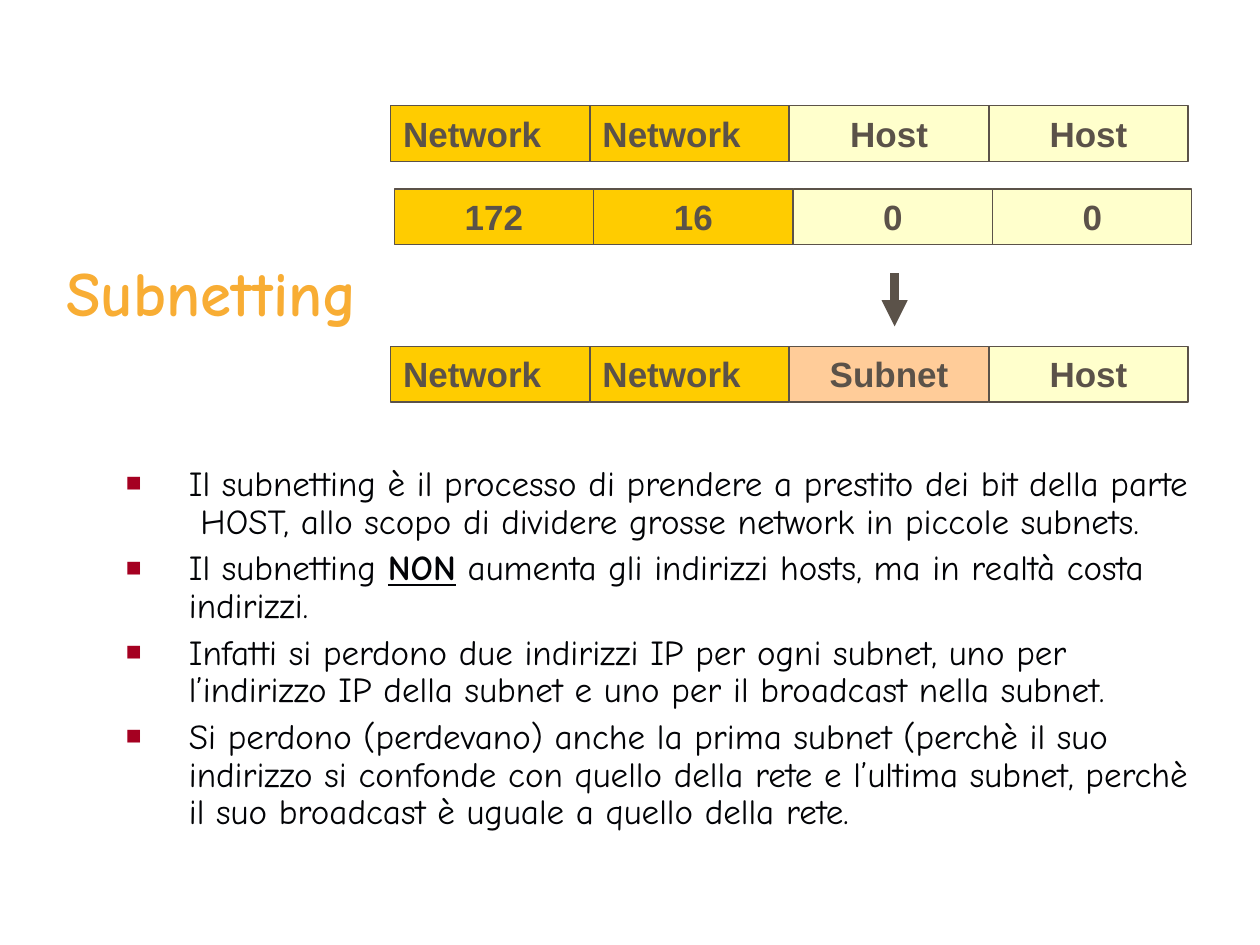
from lxml.etree import SubElement
from pptx import Presentation
from pptx.dml.color import RGBColor
from pptx.enum.shapes import MSO_CONNECTOR as Connector, MSO_SHAPE as Shape
from pptx.enum.text import MSO_ANCHOR as Anchor, PP_ALIGN as Align
from pptx.oxml.ns import qn
from pptx.util import Inches, Pt

# Content
TITLE = "Subnetting"
# Each address row: left, top, cells as (text, fill)
ADDRESS_ROWS = [
    (3.10, 0.84, [("Network", "network"), ("Network", "network"), ("Host", "host"), ("Host", "host")]),
    (3.13, 1.50, [("172", "network"), ("16", "network"), ("0", "host"), ("0", "host")]),
    (3.10, 2.75, [("Network", "network"), ("Network", "network"), ("Subnet", "subnet"), ("Host", "host")]),
]
# Each bullet: runs as (text, emphasised)
BULLETS = [
    [("Il subnetting è il processo di prendere a prestito dei bit della parte  HOST, "
      "allo scopo di dividere grosse network in piccole subnets.", False)],
    [("Il subnetting ", False), ("NON", True),
     (" aumenta gli indirizzi hosts, ma in realtà costa indirizzi.", False)],
    [("Infatti si perdono due indirizzi IP per ogni subnet, uno per l’indirizzo IP "
      "della subnet e uno per il broadcast nella subnet.", False)],
    [("Si perdono (perdevano) anche la prima subnet (perchè il suo indirizzo si confonde "
      "con quello della rete e l’ultima subnet, perchè il suo broadcast è uguale a quello "
      "della rete.", False)],
]
COLORS = {
    "title": "F8AD34", "body": "020306", "bullet": "A50021", "ink": "5B5249",
    "network": "FFCC00", "host": "FFFFCC", "subnet": "FFCC99",
}
CELL_PITCH, CELL_WIDTH, CELL_HEIGHT = 1.583, 1.58, 0.44


def color(name):
    return RGBColor.from_string(COLORS[name])


def add_text(paragraph, text, *, size=20, font="Comic Neue", ink="body", bold=False, underline=False):
    run = paragraph.add_run()
    run.text = text
    run.font.size = Pt(size)
    run.font.name = font
    run.font.color.rgb = color(ink)
    run.font.bold = bold
    run.font.underline = underline


def add_text_frame(slide, left, top, width, height):
    frame = slide.shapes.add_textbox(*map(Inches, (left, top, width, height))).text_frame
    frame.word_wrap = True
    return frame


def add_cell(slide, left, top, text, fill):
    cell = slide.shapes.add_shape(
        Shape.RECTANGLE, *map(Inches, (left, top, CELL_WIDTH, CELL_HEIGHT)))
    cell.shadow.inherit = False
    cell.fill.solid()
    cell.fill.fore_color.rgb = color(fill)
    cell.line.color.rgb = color("ink")
    cell.line.width = Pt(0.75)
    frame = cell.text_frame
    frame.vertical_anchor = Anchor.TOP
    paragraph = frame.paragraphs[0]
    paragraph.alignment = Align.LEFT if text == "Network" else Align.CENTER
    add_text(paragraph, text, font="Arial", ink="ink", bold=True)


def set_bullet(paragraph):
    properties = paragraph._p.get_or_add_pPr()
    properties.set("marL", str(Inches(0.5)))
    properties.set("indent", str(-Inches(0.5)))
    bullet_color = SubElement(properties, qn("a:buClr"))
    SubElement(bullet_color, qn("a:srgbClr"), val=COLORS["bullet"])
    SubElement(properties, qn("a:buSzPct"), val="75000")
    SubElement(properties, qn("a:buFont"), typeface="Arial")
    SubElement(properties, qn("a:buChar"), char="■")


def add_arrow(slide, x, top, bottom):
    arrow = slide.shapes.add_connector(
        Connector.STRAIGHT, *map(Inches, (x, top, x, bottom)))
    arrow.line.color.rgb = color("ink")
    arrow.line.width = Pt(5)
    SubElement(arrow.line._get_or_add_ln(), qn("a:tailEnd"), type="triangle")
    SubElement(arrow._element.spPr, qn("a:effectLst"))


def main():
    presentation = Presentation()
    presentation.slide_width, presentation.slide_height = Inches(10), Inches(7.5)
    slide = presentation.slides.add_slide(presentation.slide_layouts[6])

    # Title
    title = add_text_frame(slide, 0.43, 2.02, 2.85, 0.58)
    title.vertical_anchor = Anchor.MIDDLE
    add_text(title.paragraphs[0], TITLE, size=36, ink="title", bold=True)

    # Bulleted explanation
    body = add_text_frame(slide, 0.9, 3.65, 8.69, 3.25)
    for index, runs in enumerate(BULLETS):
        paragraph = body.add_paragraph() if index else body.paragraphs[0]
        paragraph.line_spacing = 0.9
        paragraph.space_before = Pt(5)
        set_bullet(paragraph)
        for text, emphasised in runs:
            add_text(paragraph, text, bold=emphasised, underline=emphasised)

    # Address rows
    for left, top, cells in ADDRESS_ROWS:
        for column, (text, fill) in enumerate(cells):
            add_cell(slide, left + column * CELL_PITCH, top, text, fill)

    # Arrow from the host octet to the subnet octet
    add_arrow(slide, 7.1, 2.17, 2.59)

    presentation.save("out.pptx")


if __name__ == "__main__":
    main()
